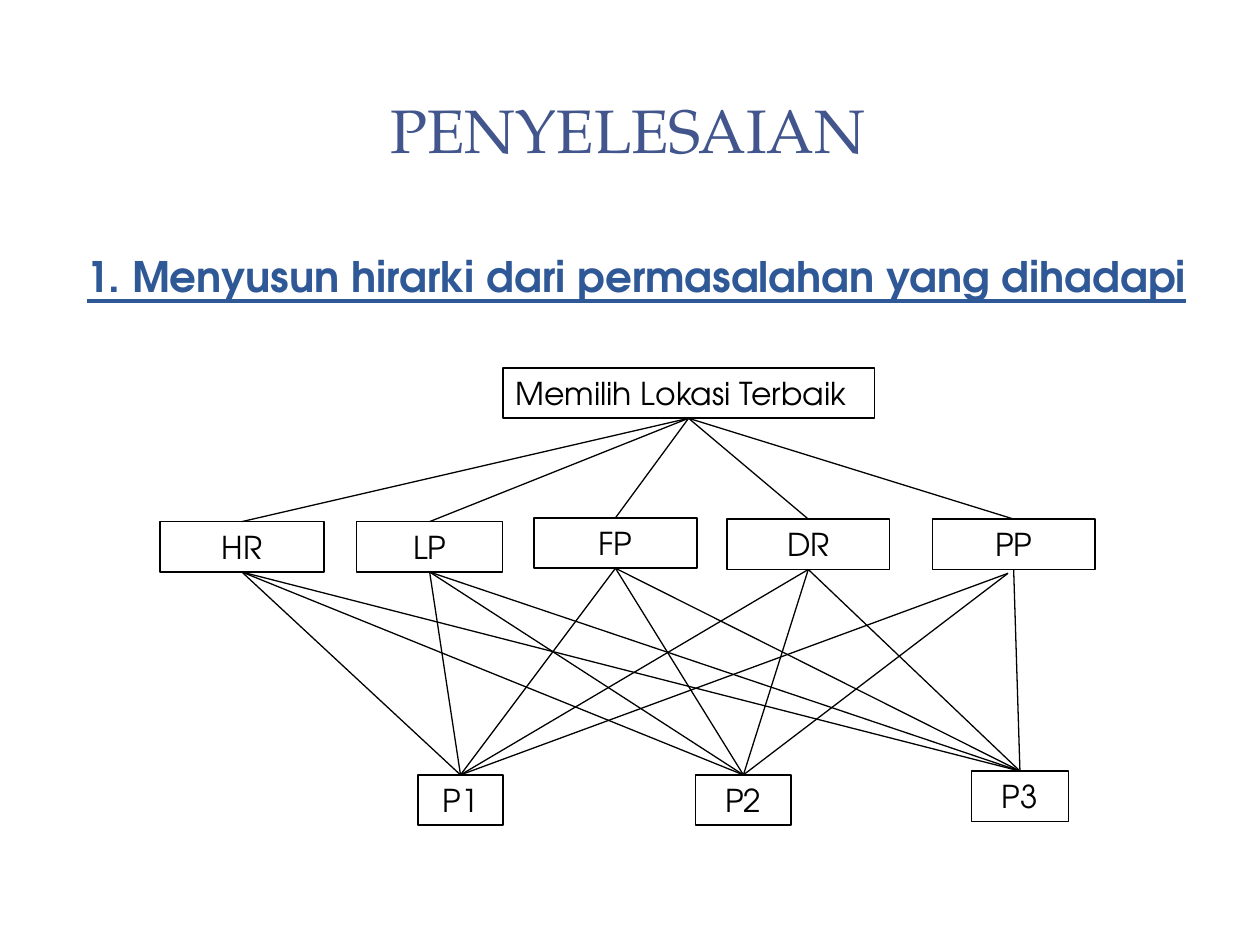
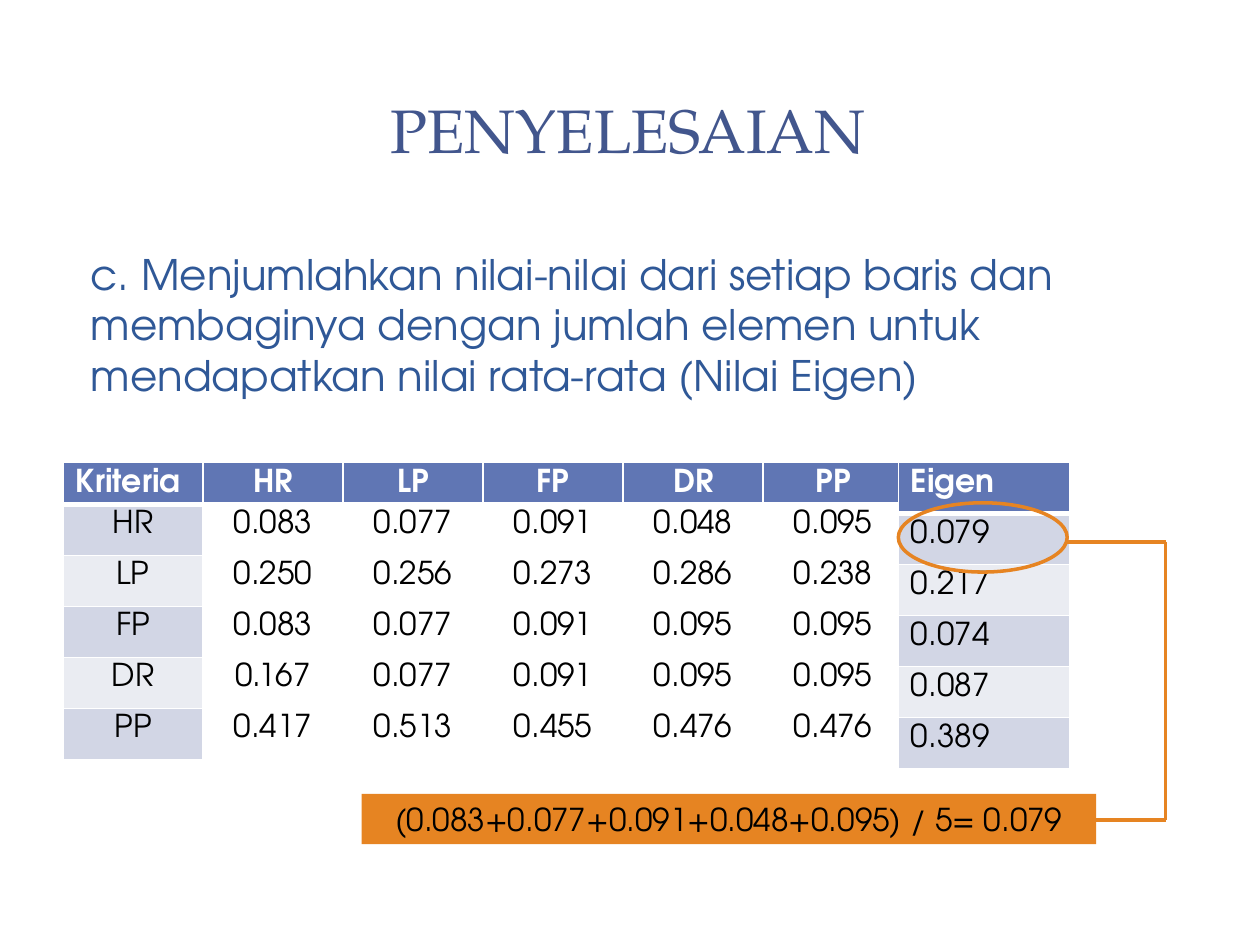
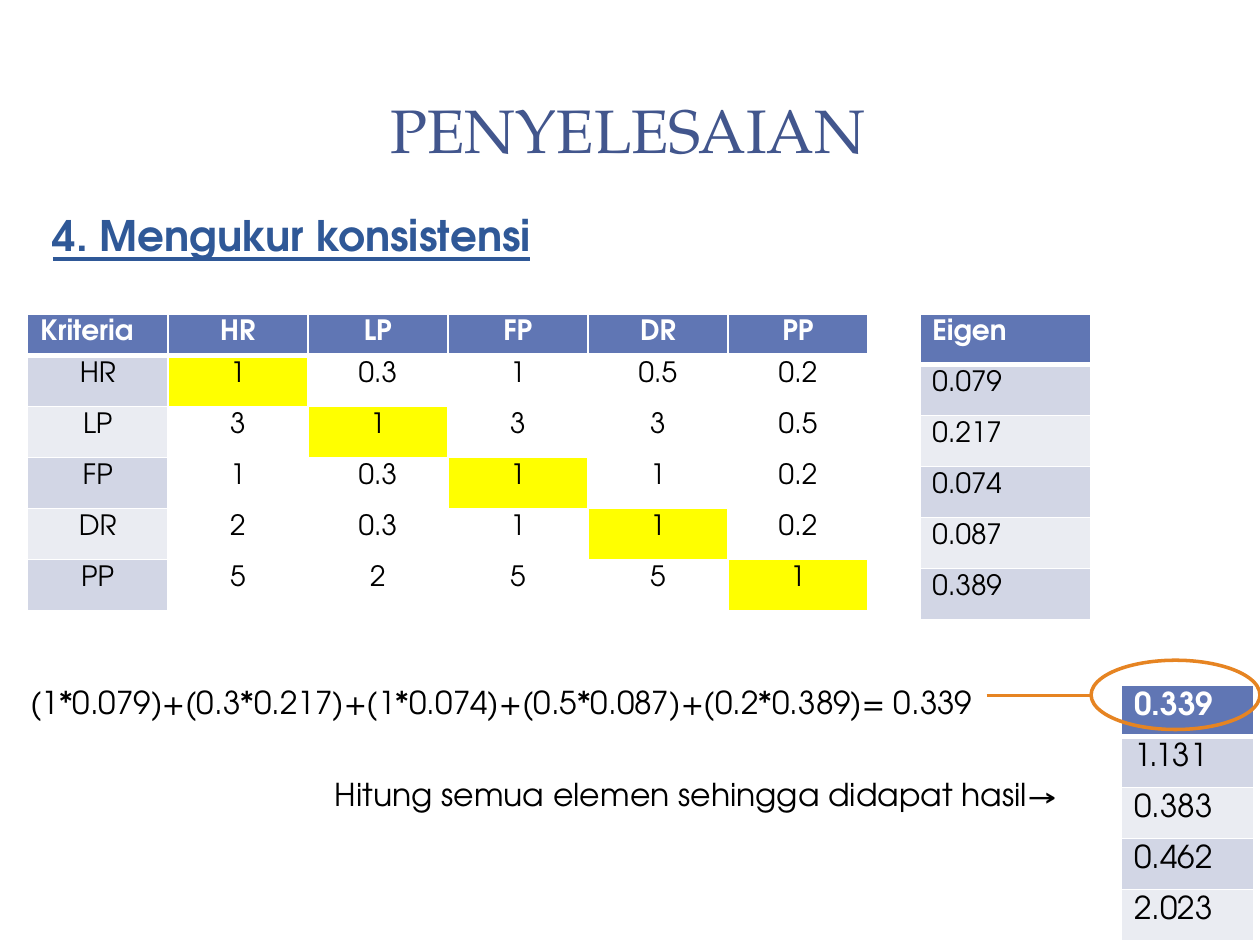
from lxml.etree import SubElement
from pptx import Presentation
from pptx.dml.color import RGBColor
from pptx.enum.shapes import MSO_CONNECTOR, MSO_SHAPE
from pptx.enum.text import MSO_ANCHOR, MSO_AUTO_SIZE, PP_ALIGN
from pptx.oxml.ns import qn
from pptx.util import Inches, Pt

# Slide grid: 10 columns by 7.5 rows of square cells
COLS, ROWS = 10, 7.5
CELL = Inches(1)

TITLE_FONT, BODY_FONT = "TeX Gyre Pagella", "TeX Gyre Adventor"
WHITE = RGBColor(0xFF, 0xFF, 0xFF)
BLACK = RGBColor(0, 0, 0)
TITLE_BLUE = RGBColor(0x42, 0x56, 0x8D)
HEADING_BLUE = RGBColor(0x2F, 0x58, 0x97)
HEADER_BLUE = RGBColor(0x60, 0x76, 0xB4)
BANDS = RGBColor(0xD2, 0xD6, 0xE5), RGBColor(0xEA, 0xEC, 0xF2)
YELLOW = RGBColor(0xFF, 0xFF, 0)
ORANGE = RGBColor(0xE6, 0x84, 0x22)

CRITERIA = ["HR", "LP", "FP", "DR", "PP"]
EIGEN = ["Eigen", "0.079", "0.217", "0.074", "0.087", "0.389"]
MATRIX_W, EIGEN_W = 6.67, 1.36
HEAD_H, ROW_H = 0.33, 2.43 / 6


def grid(*units):
    return [round(u * CELL) for u in units]


def add_run(p, text, size, color=BLACK, font=BODY_FONT, bold=False, underline=False):
    r = p.add_run()
    r.text = text
    r.font.name, r.font.size, r.font.color.rgb = font, Pt(size), color
    r.font.bold, r.font.underline = bold, underline


def place(sp, at):
    sp.left, sp.top, sp.width, sp.height = grid(*at)


# Title and heading placeholders
def add_slide(prs, heading, at, strong=False):
    s = prs.slides.add_slide(prs.slide_layouts[1])
    title, body = s.shapes.title, s.placeholders[1]
    place(title, (0.47, 0.45, 9.03, 1.14))
    title.text_frame.vertical_anchor = MSO_ANCHOR.MIDDLE
    p = title.text_frame.paragraphs[0]
    p.alignment = PP_ALIGN.CENTER
    add_run(p, "PENYELESAIAN", 35, TITLE_BLUE, TITLE_FONT)

    place(body, at)
    body.text_frame.auto_size = MSO_AUTO_SIZE.NONE
    p = body.text_frame.paragraphs[0]
    pPr = p._p.get_or_add_pPr()
    pPr.set("marL", str(Inches(0.12)))
    pPr.set("indent", "0")
    SubElement(pPr, qn("a:buNone"))
    add_run(p, heading, 24, HEADING_BLUE, bold=strong, underline=strong)
    return s


def add_line(s, start, end, color=BLACK, width=0.75):
    c = s.shapes.add_connector(MSO_CONNECTOR.STRAIGHT, *grid(*start, *end))
    c.line.color.rgb, c.line.width = color, Pt(width)
    SubElement(c._element.spPr, qn("a:effectLst"))


def add_box(s, text, at, align=PP_ALIGN.CENTER, fill=None):
    sp = s.shapes.add_shape(MSO_SHAPE.RECTANGLE, *grid(*at))
    sp.shadow.inherit = False
    if fill is None:
        sp.fill.background()
        sp.line.color.rgb, sp.line.width = BLACK, Pt(1)
    else:
        sp.fill.solid()
        sp.fill.fore_color.rgb = fill
        sp.line.fill.background()
    tf = sp.text_frame
    tf.word_wrap = True
    tf.auto_size = MSO_AUTO_SIZE.SHAPE_TO_FIT_TEXT
    p = tf.paragraphs[0]
    p.alignment = align
    add_run(p, text, 18)


def add_ring(s, x, y):
    sp = s.shapes.add_shape(MSO_SHAPE.OVAL, *grid(x, y, 1.34, 0.55))
    sp.shadow.inherit = False
    sp.fill.background()
    sp.line.color.rgb, sp.line.width = ORANGE, Pt(2)


def add_text(s, text, at, wrap=True):
    tf = s.shapes.add_textbox(*grid(*at)).text_frame
    tf.word_wrap = wrap
    tf.auto_size = MSO_AUTO_SIZE.SHAPE_TO_FIT_TEXT
    add_run(tf.paragraphs[0], text, 18)


# Tables
def set_borders(cell, row):
    tcPr = cell._tc.get_or_add_tcPr()
    widths = {"L": 1, "R": 1, "T": 3 if row == 1 else 1, "B": 3 if row == 0 else 1}
    for side, width in widths.items():
        ln = SubElement(tcPr, qn(f"a:ln{side}"), w=str(Pt(width)))
        SubElement(SubElement(ln, qn("a:solidFill")), qn("a:srgbClr"), val=str(WHITE))


def cell_fill(row, col, diagonal):
    if row == 0:
        return HEADER_BLUE
    if col == 0:
        return BANDS[(row - 1) % 2]
    return YELLOW if diagonal and row == col else None


def add_table(s, rows, x, y, width, size=18, head_h=ROW_H, diagonal=False):
    n = len(rows[0])
    height = head_h + ROW_H * (len(rows) - 1)
    table = s.shapes.add_table(len(rows), n, *grid(x, y, width, height)).table
    table.first_row = table.horz_banding = False
    for column in table.columns:
        column.width = round(width / n * CELL)
    for i, values in enumerate(rows):
        table.rows[i].height = round((ROW_H if i else head_h) * CELL)
        for j, value in enumerate(values):
            cell = table.cell(i, j)
            set_borders(cell, i)
            fill = cell_fill(i, j, diagonal)
            if fill is None:
                cell.fill.background()
            else:
                cell.fill.solid()
                cell.fill.fore_color.rgb = fill
            p = cell.text_frame.paragraphs[0]
            if n > 1 and (i, j) != (0, 0):
                p.alignment = PP_ALIGN.CENTER
            add_run(p, value, size, BLACK if i else WHITE, bold=i == 0)


def add_matrix(s, values, x, y, **options):
    rows = [["Kriteria"] + CRITERIA]
    rows += [[name] + line.split() for name, line in zip(CRITERIA, values)]
    add_table(s, rows, x, y, MATRIX_W, head_h=HEAD_H, **options)


def add_column(s, values, x, y, width=EIGEN_W, size=18):
    add_table(s, [[v] for v in values], x, y, width, size)


# Slides
def hierarchy_slide(prs):
    s = add_slide(prs, "1. Menyusun hirarki dari permasalahan yang dihadapi",
                  (0.47, 1.94, 9.53, 1.06), strong=True)
    box_h = 0.4
    goal = (3.99, 2.92, 2.95)
    criteria = dict(zip(CRITERIA, [(1.27, 4.14, 1.3), (2.83, 4.14, 1.16), (4.24, 4.11, 1.29),
                                   (5.77, 4.12, 1.29), (7.4, 4.12, 1.29)]))
    places = {"P1": (3.32, 6.15, 0.67), "P2": (5.52, 6.15, 0.76), "P3": (7.71, 6.12, 0.77)}

    def top(box):
        return box[0] + box[2] / 2, box[1]

    def bottom(box):
        return box[0] + box[2] / 2, box[1] + box_h

    add_box(s, "Memilih Lokasi Terbaik", (*goal, box_h), PP_ALIGN.LEFT)
    for name, box in (criteria | places).items():
        add_box(s, name, (*box, box_h))
    for name, box in criteria.items():
        add_line(s, bottom(goal), top(box))
        for target, end in places.items():
            # the slanted lines from PP start just below its box
            slanted = name == "PP" and target != "P3"
            add_line(s, (8, 4.55) if slanted else bottom(box), top(end))


def eigen_slide(prs):
    s = add_slide(prs, "c. Menjumlahkan nilai-nilai dari setiap baris dan membaginya dengan "
                  "jumlah elemen untuk mendapatkan nilai rata-rata (Nilai Eigen)",
                  (0.5, 1.92, 9, 4.78))
    add_matrix(s, ["0.083 0.077 0.091 0.048 0.095",
                   "0.250 0.256 0.273 0.286 0.238",
                   "0.083 0.077 0.091 0.095 0.095",
                   "0.167 0.077 0.091 0.095 0.095",
                   "0.417 0.513 0.455 0.476 0.476"], 0.5, 3.67)
    add_column(s, EIGEN, 7.13, 3.67)
    # Ring and bracket down to the worked sum
    add_ring(s, 7.13, 3.99)
    bracket = [(8.46, 4.3), (9.25, 4.3), (9.25, 6.51), (8.46, 6.51)]
    for start, end in zip(bracket, bracket[1:]):
        add_line(s, start, end, ORANGE, 2)
    add_box(s, "(0.083+0.077+0.091+0.048+0.095) / 5= 0.079", (2.87, 6.3, 5.83, 0.4), fill=ORANGE)


def consistency_slide(prs):
    s = add_slide(prs, "4. Mengukur konsistensi", (0.2, 1.61, 9, 4.78), strong=True)
    add_column(s, EIGEN, 7.3, 2.49, size=16)
    add_matrix(s, ["1 0.3 1 0.5 0.2",
                   "3 1 3 3 0.5",
                   "1 0.3 1 1 0.2",
                   "2 0.3 1 1 0.2",
                   "5 2 5 5 1"], 0.22, 2.49, size=16, diagonal=True)
    # Worked product and its results
    add_text(s, "(1*0.079)+(0.3*0.217)+(1*0.074)+(0.5*0.087)+(0.2*0.389)= 0.339",
             (0.14, 5.37, 8.19, 0.4))
    add_text(s, "Hitung semua elemen sehingga didapat hasil\u2192 ", (2.56, 6.1, 6.08, 0.4), wrap=False)
    add_column(s, ["0.339", "1.131", "0.383", "0.462", "2.023"], 8.9, 5.44, 1.05)
    add_ring(s, 8.66, 5.24)
    add_line(s, (7.83, 5.52), (8.66, 5.52), ORANGE, 2)


def main():
    prs = Presentation()
    prs.slide_width, prs.slide_height = grid(COLS, ROWS)
    hierarchy_slide(prs)
    eigen_slide(prs)
    consistency_slide(prs)
    prs.save("out.pptx")


main()
